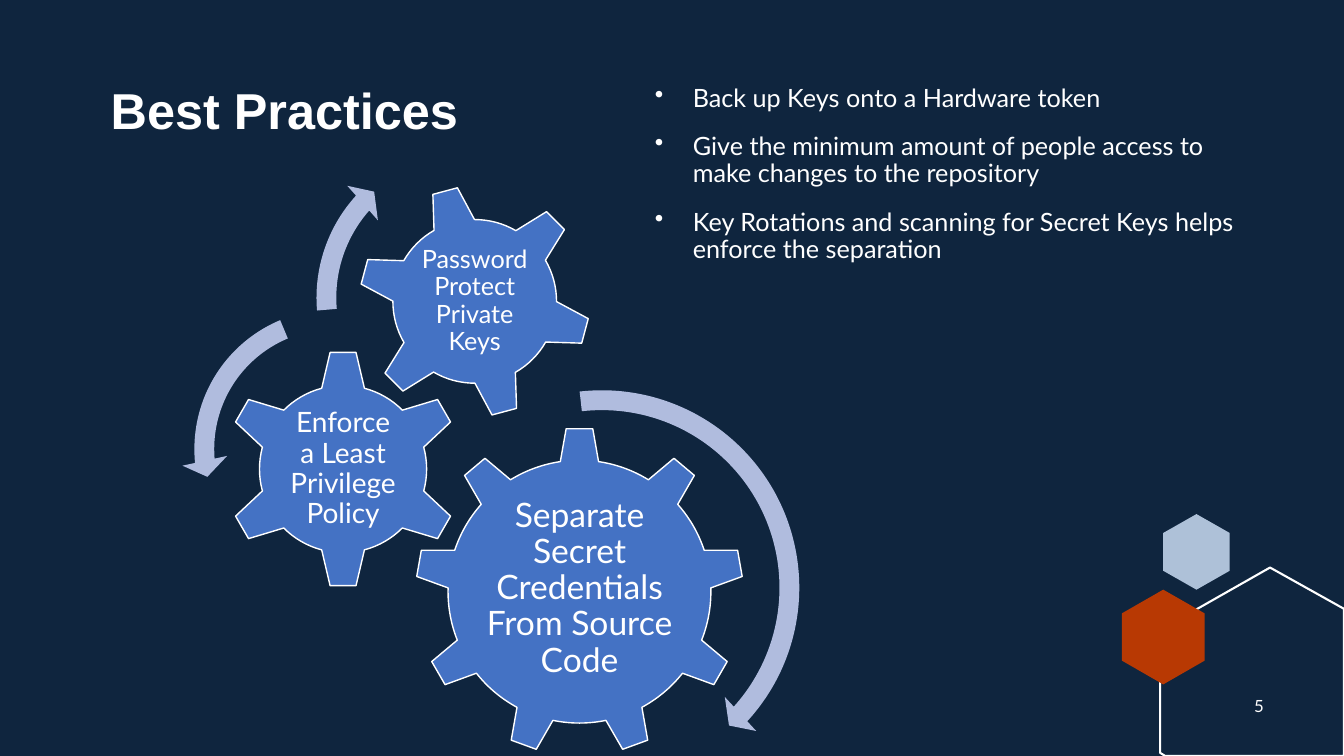
import pptx
import pptx.util
import pptx.dml.color
import pptx.enum.shapes
import pptx.enum.text
import pptx.oxml

Pt = pptx.util.Pt
SHAPES = pptx.enum.shapes.MSO_SHAPE
ALIGN = pptx.enum.text.PP_ALIGN
ANCHOR = pptx.enum.text.MSO_ANCHOR

NAVY, WHITE, BLUE, LAVENDER = "0F253E", "FFFFFF", "4472C4", "B0BCDE"
WIDTH, HEIGHT = 960, 540

TITLE = "Best Practices"
PRACTICES = [
    "Back up Keys onto a Hardware token",
    "Give the minimum amount of people access to make changes to the repository",
    "Key Rotations and scanning for Secret Keys helps enforce the separation",
]
SLIDE_NUMBER = "5"

GEARS = [
    dict(kind=SHAPES.GEAR_9, left=296.6, top=305.3, side=234.7, rotation=0, lift=2.1,
         label="Separate Secret Credentials From Source Code", label_size=(140.4, 121), points=24),
    dict(kind=SHAPES.GEAR_6, left=159.8, top=249.8, side=170.6, rotation=0, lift=0,
         label="Enforce a Least Privilege Policy", label_size=(85, 84.2), points=20),
    dict(kind=SHAPES.GEAR_6, left=255.6, top=131.8, side=167, rotation=345, lift=0,
         label="Password Protect Private Keys", label_size=(93.6, 93.6), points=18),
]
ARROWS = [
    (SHAPES.CIRCULAR_ARROW, 279.4, 269.3, 301, (0.047, 2.99, 25.394, 158.122, 0.055)),
    (SHAPES.LEFT_CIRCULAR_ARROW, 129.6, 211.7, 218.2, (0.065, 4.3, 104.891, 148.378, 0.075)),
    (SHAPES.CIRCULAR_ARROW, 216.7, 95, 235.4, (0.06, 3.941, 133.138, 105.082, 0.07)),
]
PALE_HEXAGON = (830.9, 367.2, 47.5, 54)
ORANGE_HEXAGON = (801.4, 421.2, 59, 67.7)
HEXAGON_OUTLINE = [(907.2, 405.4), (WIDTH, 434.9), (WIDTH, HEIGHT),
                   (832.3, HEIGHT), (828.7, 537.8), (828.7, 450)]


def color(hex_string):
    return pptx.dml.color.RGBColor.from_string(hex_string)


def set_all(target, values):
    for name, value in values.items():
        setattr(target, name, value)


def paint(shape, fill=None, line=None, weight=1):
    shape.shadow.inherit = False
    if fill:
        shape.fill.solid()
        shape.fill.fore_color.rgb = color(fill)
    else:
        shape.fill.background()
    if line:
        shape.line.color.rgb = color(line)
        shape.line.width = Pt(weight)
    else:
        shape.line.fill.background()


def add_polygon(slide, points, **style):
    corners = [(Pt(x), Pt(y)) for x, y in points]
    builder = slide.shapes.build_freeform(*corners[0])
    builder.add_line_segments(corners[1:], close=True)
    paint(builder.convert_to_shape(), **style)


def hexagon_points(left, top, width, height):
    middle, right = left + width / 2, left + width
    upper, lower, bottom = top + height / 4, top + height * 3 / 4, top + height
    return [(middle, top), (right, upper), (right, lower),
            (middle, bottom), (left, lower), (left, upper)]


def add_text(slide, box, lines, font, frame=None, paragraph_format=None, gap=0, bullet=False):
    text_frame = slide.shapes.add_textbox(*map(Pt, box)).text_frame
    set_all(text_frame, {"word_wrap": True, **(frame or {})})
    for index, line in enumerate(lines):
        paragraph = text_frame.add_paragraph() if index else text_frame.paragraphs[0]
        if bullet:
            properties = paragraph._p.get_or_add_pPr()
            properties.set("marL", str(Pt(27)))
            properties.set("indent", str(Pt(-27)))
            properties.append(pptx.oxml.parse_xml(
                '<a:buChar xmlns:a="http://schemas.openxmlformats.org/drawingml/2006/main" char="•"/>'))
        set_all(paragraph, paragraph_format or {})
        if index and gap:
            paragraph.space_before = Pt(gap)
        run = paragraph.add_run()
        run.text = line
        set_all(run.font, font)
        run.font.color.rgb = color(WHITE)


def add_gear(slide, gear):
    left, top, side = gear["left"], gear["top"], gear["side"]
    shape = slide.shapes.add_shape(gear["kind"], Pt(left), Pt(top), Pt(side), Pt(side))
    shape.rotation = gear["rotation"]
    paint(shape, BLUE, WHITE)
    width, height = gear["label_size"]
    box = (left + (side - width) / 2, top + (side - height) / 2 - gear["lift"], width, height)
    margins = {f"margin_{edge}": Pt(2) for edge in ("left", "top", "right", "bottom")}
    add_text(slide, box, [gear["label"]], {"name": "Lato", "size": Pt(gear["points"])},
             {"vertical_anchor": ANCHOR.MIDDLE, **margins},
             {"alignment": ALIGN.CENTER, "line_spacing": 0.9})


def main():
    presentation = pptx.Presentation()
    set_all(presentation, {"slide_width": Pt(WIDTH), "slide_height": Pt(HEIGHT)})
    slide = presentation.slides.add_slide(presentation.slide_layouts[6])
    slide.background.fill.solid()
    slide.background.fill.fore_color.rgb = color(NAVY)

    add_polygon(slide, hexagon_points(*PALE_HEXAGON), fill="AEC1D8")
    add_polygon(slide, HEXAGON_OUTLINE, line=WHITE, weight=1.5)
    add_polygon(slide, hexagon_points(*ORANGE_HEXAGON), fill="B83903")

    add_text(slide, (72, 57.6, 367.2, 136.8), [TITLE],
             {"name": "Arial", "size": Pt(36), "bold": True},
             paragraph_format={"line_spacing": 0.9})
    add_text(slide, (460.8, 57.6, 432, 136.8), PRACTICES, {"name": "Lato", "size": Pt(18)},
             paragraph_format={"line_spacing": 0.9}, gap=15, bullet=True)
    add_text(slide, (881.3, 489.6, 36, 28.8), [SLIDE_NUMBER], {"name": "Lato", "size": Pt(12)},
             {"vertical_anchor": ANCHOR.MIDDLE}, {"alignment": ALIGN.CENTER})

    for gear in GEARS:
        add_gear(slide, gear)
    for kind, left, top, side, adjustments in ARROWS:
        arrow = slide.shapes.add_shape(kind, Pt(left), Pt(top), Pt(side), Pt(side))
        for index, value in enumerate(adjustments):
            arrow.adjustments[index] = value
        paint(arrow, LAVENDER)

    presentation.save("out.pptx")


if __name__ == "__main__":
    main()
